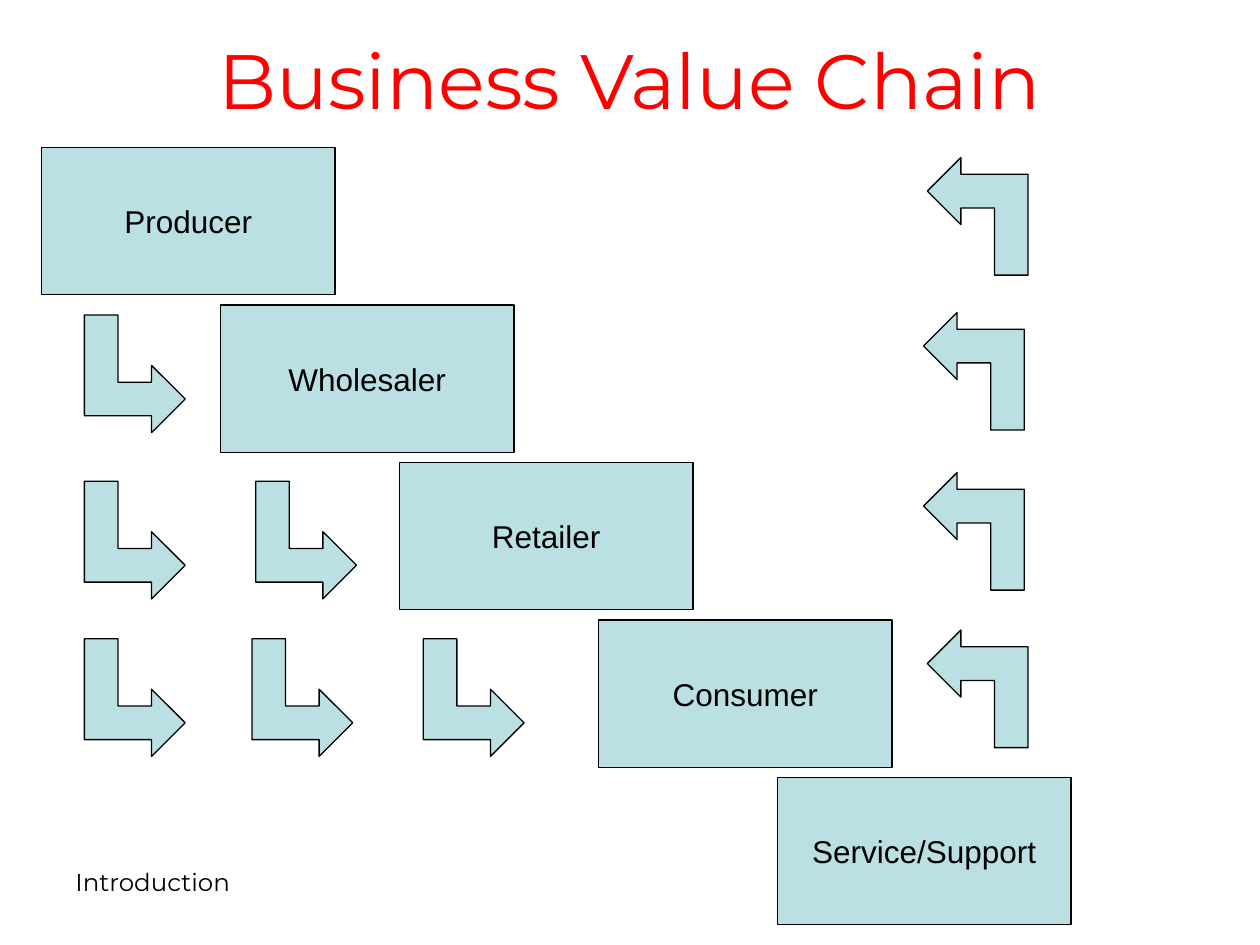
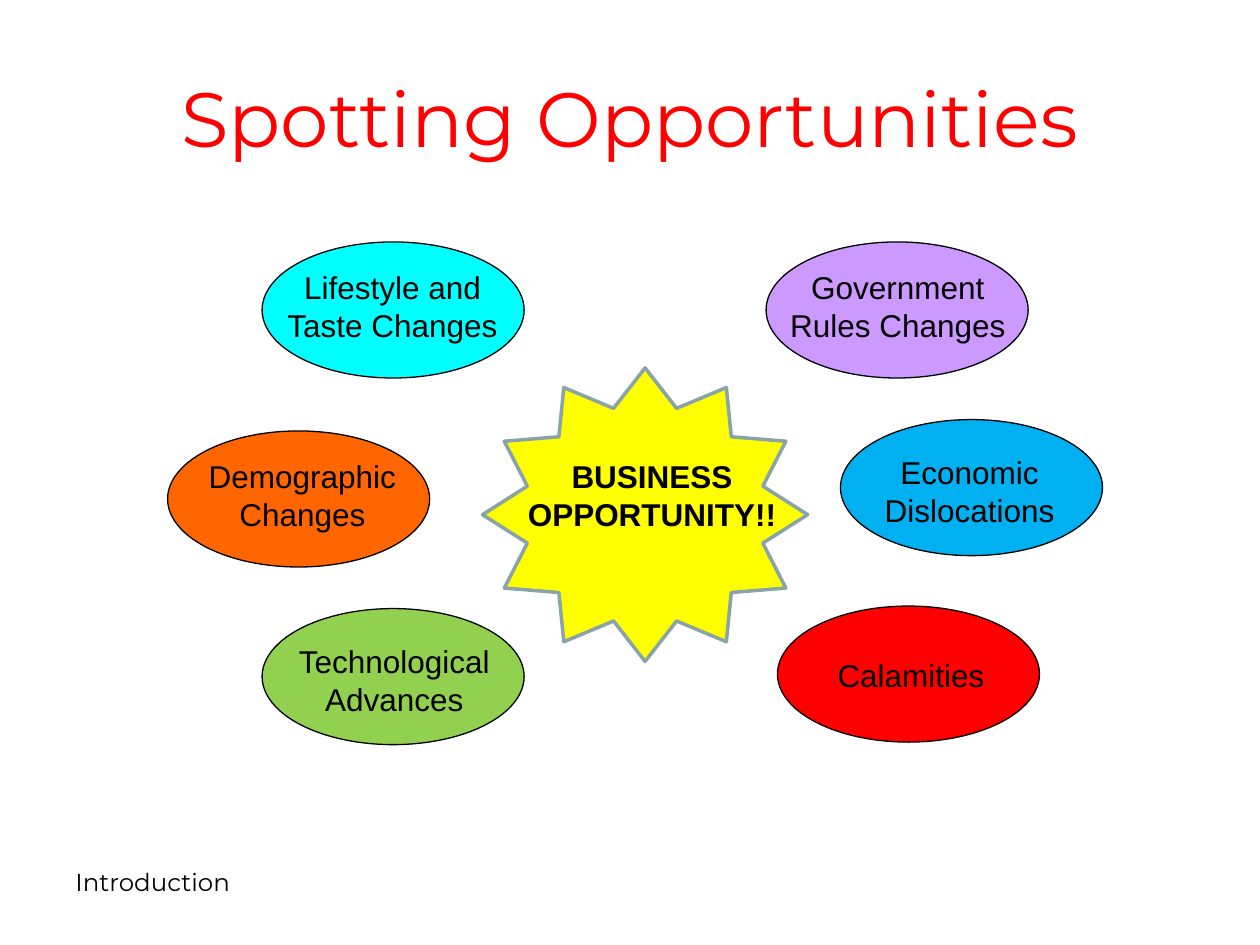
import pptx
import pptx.util
import pptx.dml.color
import pptx.enum.shapes
import pptx.enum.text

Inches = pptx.util.Inches
SHAPES = pptx.enum.shapes.MSO_SHAPE
ALIGN = pptx.enum.text.PP_ALIGN
ANCHOR = pptx.enum.text.MSO_ANCHOR
AUTO_SIZE = pptx.enum.text.MSO_AUTO_SIZE

# Shared look
BLACK, TITLE_RED, PALE_TEAL = "000000", "FF0000", "BBE0E3"
HEADING_FONT, LABEL_FONT = "Montserrat", "Arial"
FOOTER = "Introduction"

# Value chain: (stage, left); stages step down the slide at an equal pitch
CHAIN_TITLE = "Business Value Chain"
STAGES = [("Producer", 0.33), ("Wholesaler", 1.75), ("Retailer", 3.17),
          ("Consumer", 4.75), ("Service/Support", 6.17)]
STAGE_TOP, STAGE_PITCH = 1.17, 1.25
STAGE_WIDTH, STAGE_HEIGHT = 2.33, 1.17

# Arrow rows: (top, lefts)
FORWARD_ARROWS = [(2.5, [0.67]), (3.82, [0.67, 2.03]), (5.07, [0.67, 2.0, 3.36])]
RETURN_ARROWS = [(1.25, [7.36]), (2.48, [7.33]), (3.75, [7.33]), (5.0, [7.36])]
ARROW_UNIT = 0.8 / 3
FORWARD_OUTLINE = [(3, 2.5), (2, 1.5), (2, 2), (1, 2), (1, 0),
                   (0, 0), (0, 3), (2, 3), (2, 3.5)]
RETURN_OUTLINE = [(3 - x, 3.5 - y) for x, y in FORWARD_OUTLINE]

# Opportunities: (label lines, colour, oval left and top, label left, top and width)
OPPORTUNITY_TITLE = "Spotting Opportunities"
SOURCES = [
    (["Demographic", "Changes"], "FF6600", (1.33, 3.42), (1.53, 3.58, 1.74)),
    (["Lifestyle and", "Taste Changes"], "00FFFF", (2.08, 1.92), (2.17, 2.08, 1.89)),
    (["Technological", "Advances"], "92D050", (2.08, 4.83), (2.26, 5.05, 1.74)),
    (["Government", "Rules Changes"], "CC99FF", (6.08, 1.92), (6.17, 2.08, 1.91)),
    (["Economic", "Dislocations"], "00B0F0", (6.67, 3.33), (6.92, 3.55, 1.55)),
    (["Calamities"], "FF0000", (6.17, 4.81), (6.52, 5.16, 1.42)),
]
OVAL_WIDTH, OVAL_HEIGHT = 2.08, 1.08
BURST_LINES = ["BUSINESS", "OPPORTUNITY!!"]
BURST_BOX = (3.83, 2.92, 2.58, 2.33)
BURST_LABEL = (4.09, 3.58, 2.17)


def color(hex_code):
    return pptx.dml.color.RGBColor.from_string(hex_code)


def write(shape, lines, size=18, font=LABEL_FONT, ink=BLACK, bold=False,
          align=ALIGN.CENTER, anchor=ANCHOR.TOP, wrap=False):
    frame = shape.text_frame
    frame.word_wrap = wrap
    frame.vertical_anchor = anchor
    frame.text = "\n".join(lines)
    for paragraph in frame.paragraphs:
        paragraph.alignment = align
        paragraph.font.size = pptx.util.Pt(size)
        paragraph.font.name = font
        paragraph.font.bold = bold
        paragraph.font.color.rgb = color(ink)


def add_text(slide, box, lines, **style):
    text = slide.shapes.add_textbox(*map(Inches, box))
    write(text, lines, **style)
    return text


def add_label(slide, place, lines, **style):
    # The box grows around its text, so no word breaks
    height = 0.1 + 0.3 * len(lines)
    label = add_text(slide, (*place, height), lines, **style)
    label.text_frame.auto_size = AUTO_SIZE.SHAPE_TO_FIT_TEXT


def paint(shape, fill, line=BLACK, width=0.75):
    shape.shadow.inherit = False
    shape.fill.solid()
    shape.fill.fore_color.rgb = color(fill)
    shape.line.color.rgb = color(line)
    shape.line.width = pptx.util.Pt(width)


def add_figure(slide, kind, box, fill, **outline):
    shape = slide.shapes.add_shape(kind, *map(Inches, box))
    paint(shape, fill, **outline)
    return shape


def add_arrows(slide, rows, outline):
    for top, lefts in rows:
        for left in lefts:
            points = [(Inches(left + x * ARROW_UNIT), Inches(top + y * ARROW_UNIT))
                      for x, y in outline]
            builder = slide.shapes.build_freeform(*points[0])
            builder.add_line_segments(points[1:], close=True)
            paint(builder.convert_to_shape(), PALE_TEAL)


def new_slide(deck, title, title_top):
    slide = deck.slides.add_slide(deck.slide_layouts[6])
    add_text(slide, (0.5, 6.83, 2.33, 0.52), [FOOTER], size=14,
             font=HEADING_FONT, align=ALIGN.LEFT, wrap=True)
    add_text(slide, (0.5, title_top, 9, 1.25), [title], size=44,
             font=HEADING_FONT, ink=TITLE_RED, anchor=ANCHOR.MIDDLE, wrap=True)
    return slide


def build_value_chain(deck):
    slide = new_slide(deck, CHAIN_TITLE, 0)
    for step, (stage, left) in enumerate(STAGES):
        box = (left, STAGE_TOP + step * STAGE_PITCH, STAGE_WIDTH, STAGE_HEIGHT)
        write(add_figure(slide, SHAPES.RECTANGLE, box, PALE_TEAL), [stage],
              anchor=ANCHOR.MIDDLE)
    add_arrows(slide, FORWARD_ARROWS, FORWARD_OUTLINE)
    add_arrows(slide, RETURN_ARROWS, RETURN_OUTLINE)


def build_opportunities(deck):
    slide = new_slide(deck, OPPORTUNITY_TITLE, 0.3)
    for lines, fill, corner, label_place in SOURCES:
        add_figure(slide, SHAPES.OVAL, (*corner, OVAL_WIDTH, OVAL_HEIGHT), fill)
        add_label(slide, label_place, lines)
    add_figure(slide, SHAPES.STAR_12_POINT, BURST_BOX, "FFFF00",
               line="89A4A7", width=2)
    add_label(slide, BURST_LABEL, BURST_LINES, bold=True)


def main():
    deck = pptx.Presentation()
    deck.slide_width, deck.slide_height = Inches(10), Inches(7.5)
    build_value_chain(deck)
    build_opportunities(deck)
    deck.save("out.pptx")


if __name__ == "__main__":
    main()
